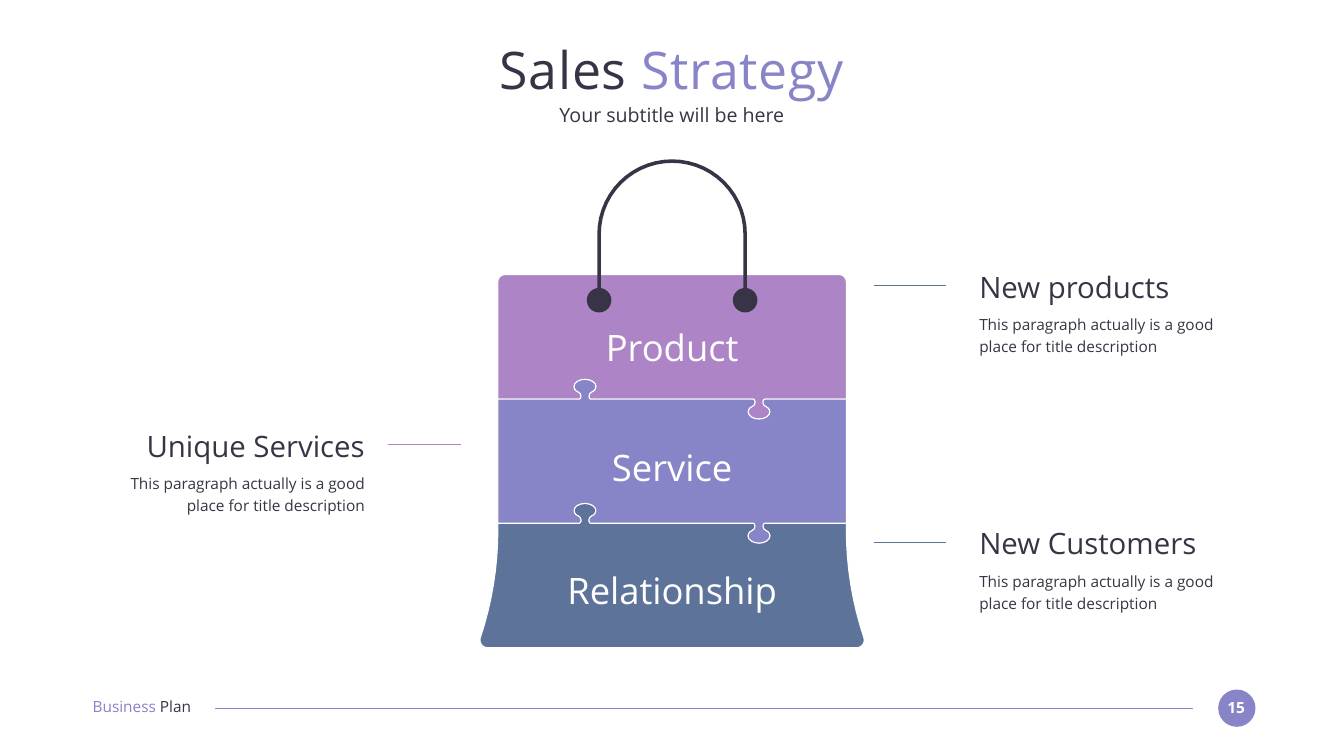
from dataclasses import dataclass
from math import cos, radians, sin

from lxml.etree import SubElement
from pptx import Presentation
from pptx.dml.color import RGBColor
from pptx.enum.shapes import MSO_CONNECTOR as Connector, MSO_SHAPE as Preset
from pptx.enum.text import MSO_ANCHOR as Anchor, MSO_AUTO_SIZE as AutoSize, PP_ALIGN as Align
from pptx.oxml.ns import qn
from pptx.util import Cm, Pt

Point = tuple[float, float]


@dataclass(frozen=True)
class Theme:
    font: str = "Open Sans"
    dark: str = "373545"
    white: str = "FFFFFF"
    violet: str = "8784C7"
    orchid: str = "AD84C6"
    slate: str = "5D739A"
    title: int = 74
    label: int = 52
    heading: int = 42
    subtitle: int = 28
    small: int = 22
    rule: float = 1.5


@dataclass(frozen=True)
class Span:
    text: str
    color: str


@dataclass(frozen=True)
class Band:
    label: str
    label_top: float
    color: str
    outline: list[Point]


@dataclass(frozen=True)
class Callout:
    heading: str
    top: float
    color: str
    on_left: bool


THEME = Theme()
CENTER = 33.87
BAG_LEFT, BAG_RIGHT = 25.09, 42.65
BAG_TOP, UPPER_SEAM, LOWER_SEAM, BAG_BOTTOM = 13.84, 20.12, 26.37, 32.64
DESCRIPTION = "This paragraph actually is a good place for title description"


def rgb(color: str) -> RGBColor:
    return RGBColor.from_string(color)


def write(box, spans: list[Span], size: int, align=Align.LEFT, anchor=Anchor.TOP,
          bold: bool = False, line_spacing: float | None = None):
    frame = box.text_frame
    frame.word_wrap = True
    frame.auto_size = AutoSize.NONE
    frame.vertical_anchor = anchor
    frame.margin_left = frame.margin_right = frame.margin_top = frame.margin_bottom = 0
    para = frame.paragraphs[0]
    para.alignment = align
    para.space_before = Pt(0)
    if line_spacing:
        para.line_spacing = line_spacing
    if box.is_placeholder:
        properties = para._p.get_or_add_pPr()
        properties.set("marL", "0")
        properties.set("indent", "0")
        SubElement(properties, qn("a:buNone"))
    para.font.name, para.font.size, para.font.bold = THEME.font, Pt(size), bold
    for span in spans:
        run = para.add_run()
        run.text = span.text
        run.font.color.rgb = rgb(span.color)
    return para


def place(shape, left: float, top: float, width: float, height: float) -> None:
    shape.left, shape.top, shape.width, shape.height = Cm(left), Cm(top), Cm(width), Cm(height)


def add_text(shapes, left: float, top: float, width: float, height: float,
             spans: list[Span], size: int, **style) -> None:
    box = shapes.add_textbox(Cm(left), Cm(top), Cm(width), Cm(height))
    write(box, spans, size, **style)


def add_rule(page, start: float, end: float, y: float, color: str) -> None:
    rule = page.shapes.add_connector(Connector.STRAIGHT, Cm(start), Cm(y), Cm(end), Cm(y))
    rule.line.color.rgb = rgb(color)
    rule.line.width = Pt(THEME.rule)
    SubElement(rule._element.spPr, qn("a:effectLst"))


def add_outline(page, points: list[Point], color: str, edge: str | None = None) -> None:
    corners = [(Cm(x), Cm(y)) for x, y in points]
    builder = page.shapes.build_freeform(*corners[0])
    builder.add_line_segments(corners[1:], close=True)
    shape = builder.convert_to_shape()
    shape.shadow.inherit = False
    shape.fill.solid()
    shape.fill.fore_color.rgb = rgb(color)
    if edge:
        shape.line.color.rgb = rgb(edge)
        shape.line.width = Pt(THEME.rule)
    else:
        shape.line.fill.background()


def curve(a: Point, b: Point, c: Point, d: Point, steps: int) -> list[Point]:
    def blend(t: float, axis: int) -> float:
        u = 1 - t
        return (u**3 * a[axis] + 3 * u * u * t * b[axis]
                + 3 * u * t * t * c[axis] + t**3 * d[axis])
    return [(blend(i / steps, 0), blend(i / steps, 1)) for i in range(1, steps + 1)]


def arc(x: float, y: float, radius: float, start: float, end: float, steps: int) -> list[Point]:
    angles = [radians(start + (end - start) * i / steps) for i in range(steps + 1)]
    return [(x + radius * cos(angle), y + radius * sin(angle)) for angle in angles]


def mirror(points: list[Point], axis: float = CENTER) -> list[Point]:
    return [(2 * axis - x, y) for x, y in reversed(points)]


def knob(x: float, seam_y: float, direction: int) -> list[Point]:
    half = ([(-0.28, 0)]
            + curve((-0.28, 0), (-0.23, 0), (-0.2, 0.08), (-0.2, 0.15), 2)
            + curve((-0.2, 0.15), (-0.2, 0.25), (-0.25, 0.33), (-0.33, 0.36), 2)
            + curve((-0.33, 0.36), (-0.46, 0.41), (-0.55, 0.51), (-0.55, 0.64), 3)
            + curve((-0.55, 0.64), (-0.55, 0.84), (-0.3, 1), (0, 1), 4))
    return [(x + dx, seam_y + direction * dy) for dx, dy in half + mirror(half, 0)[1:]]


def seam(y: float) -> list[Point]:
    return [(BAG_LEFT, y), *knob(29.48, y, -1), *knob(38.25, y, 1), (BAG_RIGHT, y)]


def handle() -> list[Point]:
    spring, reach, ring_y, ring = 11.8, 3.68, 15.13, 0.62
    right_ring = arc(CENTER + reach, ring_y, ring, -82, 262, 20)
    return (arc(CENTER, spring, reach + 0.09, 180, 360, 28) + right_ring
            + arc(CENTER, spring, reach - 0.09, 360, 180, 28) + mirror(right_ring))


def bands() -> list[Band]:
    radius = 0.36
    corner = arc(BAG_RIGHT - radius, BAG_TOP + radius, radius, -90, 0, 5)
    flare = ([(BAG_RIGHT, 26.7)]
             + curve((BAG_RIGHT, 26.7), (BAG_RIGHT, 28.55), (42.95, 30.4), (43.54, 32.16), 8)
             + curve((43.54, 32.16), (43.61, 32.39), (43.43, BAG_BOTTOM), (43.18, BAG_BOTTOM), 5))
    upper, lower = seam(UPPER_SEAM), seam(LOWER_SEAM)
    return [
        Band("Relationship", 28.65, THEME.slate, lower + flare + mirror(flare)),
        Band("Product", 16.38, THEME.orchid, mirror(corner) + corner + upper[::-1]),
        Band("Service", 22.43, THEME.violet, upper + lower[::-1]),
    ]


def add_callout(page, callout: Callout) -> None:
    text_left, rule_left = (4.65, 19.56) if callout.on_left else (49.35, 44.02)
    align = Align.RIGHT if callout.on_left else Align.LEFT
    add_rule(page, rule_left, rule_left + 3.66, callout.top + 0.86, callout.color)
    group = page.shapes.add_group_shape()
    add_text(group.shapes, text_left, callout.top, 13.74, 1.8,
             [Span(callout.heading, THEME.dark)], THEME.heading, align=align)
    add_text(group.shapes, text_left, callout.top + 2.16, 13.74, 2.26,
             [Span(DESCRIPTION, THEME.dark)], THEME.small, align=align, line_spacing=1.2)


def add_footer(page) -> None:
    badge = page.shapes.add_shape(Preset.OVAL, Cm(61.39), Cm(34.75), Cm(1.88), Cm(1.88))
    badge.shadow.inherit = False
    badge.fill.solid()
    badge.fill.fore_color.rgb = rgb(THEME.violet)
    badge.line.fill.background()
    add_text(page.shapes, 61.54, 35.18, 1.5, 0.94, [Span("15", THEME.white)],
             THEME.small, align=Align.CENTER, bold=True)
    add_rule(page, 10.85, 60.12, 35.69, THEME.violet)
    add_text(page.shapes, 4.67, 35.15, 6.58, 0.94,
             [Span("Business ", THEME.violet), Span("Plan", THEME.dark)], THEME.small)


def add_headings(page) -> None:
    title, subtitle = page.shapes.title, page.placeholders[1]
    place(title, 4.65, 1.85, 58.42, 3.23)
    para = write(title, [Span("Sales ", THEME.dark), Span("Strategy", THEME.violet)],
                 THEME.title, align=Align.CENTER, anchor=Anchor.MIDDLE)
    for run in para.runs:
        run._r.get_or_add_rPr().set("spc", "100")
    place(subtitle, 4.65, 5.16, 58.42, 1.24)
    write(subtitle, [Span("Your subtitle will be here", THEME.dark)],
          THEME.subtitle, align=Align.CENTER, anchor=Anchor.MIDDLE)


def main() -> None:
    deck = Presentation()
    deck.slide_width, deck.slide_height = Cm(67.73), Cm(38.1)
    page = deck.slides.add_slide(deck.slide_layouts[1])
    add_footer(page)
    add_headings(page)
    for band in bands():
        add_outline(page, band.outline, band.color, THEME.white)
    add_outline(page, handle(), THEME.dark)
    for band in bands():
        add_text(page.shapes, 27.18, band.label_top, 13.39, 2.24,
                 [Span(band.label, THEME.white)], THEME.label, align=Align.CENTER)
    for callout in (Callout("Unique Services", 21.56, THEME.orchid, True),
                    Callout("New Customers", 26.47, THEME.slate, False),
                    Callout("New products", 13.54, THEME.slate, False)):
        add_callout(page, callout)
    deck.save("out.pptx")


if __name__ == "__main__":
    main()
